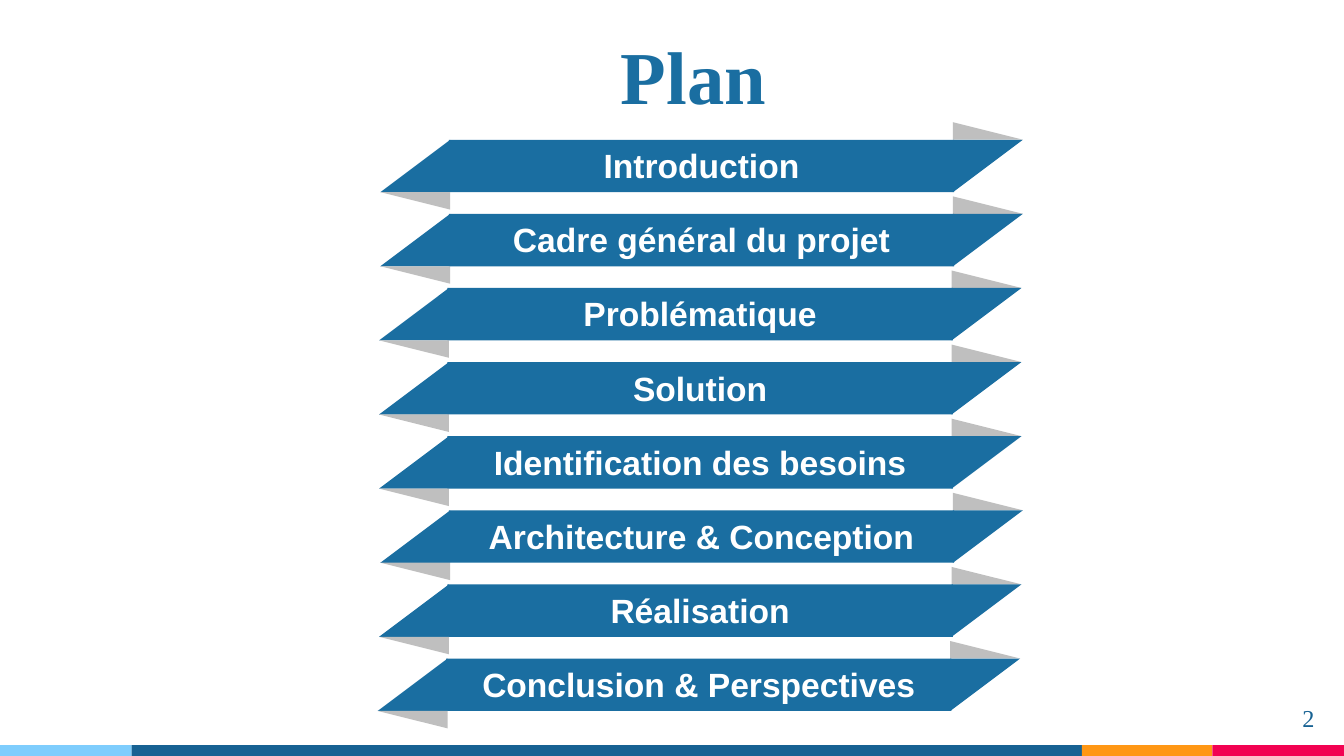
"""Build the plan slide: a title above eight ribbon banners and a striped footer."""
import pptx
import pptx.util
import pptx.dml.color
import pptx.enum.shapes
import pptx.enum.text

Inches = pptx.util.Inches
Pt = pptx.util.Pt

TITLE = "Plan"
PAGE_NUMBER = "2"
BANNERS = [
    ("Introduction", 2.83),
    ("Cadre général du projet", 2.83),
    ("Problématique", 2.82),
    ("Solution", 2.82),
    ("Identification des besoins", 2.82),
    ("Architecture & Conception", 2.83),
    ("Réalisation", 2.82),
    ("Conclusion & Perspectives", 2.81),
]
COLORS = {
    "banner": "1A6EA1",
    "fold": "BFBFBF",
    "text": "FFFFFF",
    "sky": "7ECDFD",
    "navy": "176293",
    "orange": "FF9714",
    "pink": "F20252",
}
STRIPES = [("sky", 0.98), ("navy", 7.07), ("orange", 0.97), ("pink", 0.98)]

SLIDE_WIDTH = 10
SLIDE_HEIGHT = SLIDE_WIDTH * 9 / 16
STRIPE_HEIGHT = 0.08
FIRST_TOP, LAST_TOP = 1.04, 4.9
ROW_PITCH = (LAST_TOP - FIRST_TOP) / (len(BANNERS) - 1)
WING_WIDTH, FOLD_HEIGHT = 0.52, 0.13
BODY_WIDTH, BODY_HEIGHT = 3.76, 0.39
OVERLAP = 0.01


def color(name):
    return pptx.dml.color.RGBColor.from_string(COLORS[name])


def paint(shape, name):
    shape.shadow.inherit = False
    shape.fill.solid()
    shape.fill.fore_color.rgb = color(name)
    shape.line.fill.background()


def add_rectangle(slide, left, top, width, height, name):
    shape = slide.shapes.add_shape(
        pptx.enum.shapes.MSO_SHAPE.RECTANGLE,
        Inches(left), Inches(top), Inches(width), Inches(height))
    paint(shape, name)
    return shape


def add_triangle(slide, points, name):
    start, *others = [(Inches(x), Inches(y)) for x, y in points]
    builder = slide.shapes.build_freeform(*start)
    builder.add_line_segments(others, close=True)
    paint(builder.convert_to_shape(), name)


def write(shape, text, font_name, size, name, align, margins, bold=False):
    frame = shape.text_frame
    frame.word_wrap = True
    frame.auto_size = pptx.enum.text.MSO_AUTO_SIZE.NONE
    frame.margin_left, frame.margin_top = map(Inches, margins)
    frame.margin_right = frame.margin_bottom = 0
    frame.vertical_anchor = pptx.enum.text.MSO_ANCHOR.TOP
    frame.text = text
    paragraph = frame.paragraphs[0]
    paragraph.alignment = align
    paragraph.font.name = font_name
    paragraph.font.size = Pt(size)
    paragraph.font.bold = bold
    paragraph.font.color.rgb = color(name)


def add_banner(slide, text, left, top):
    inner_left = left + WING_WIDTH
    inner_right = inner_left + BODY_WIDTH - 2 * OVERLAP
    right = inner_right + WING_WIDTH
    bottom = top + BODY_HEIGHT
    add_triangle(slide, [(right, top), (inner_right, top),
                         (inner_right, top - FOLD_HEIGHT)], "fold")
    body = add_rectangle(slide, inner_left - OVERLAP, top, BODY_WIDTH, BODY_HEIGHT, "banner")
    write(body, text, "Arial", 18, "text", pptx.enum.text.PP_ALIGN.CENTER, (0, 0.04), True)
    add_triangle(slide, [(inner_left, bottom), (left, bottom), (inner_left, top)], "banner")
    add_triangle(slide, [(inner_left, bottom + FOLD_HEIGHT), (left, bottom),
                         (inner_left, bottom)], "fold")
    add_triangle(slide, [(inner_right, bottom), (inner_right, top), (right, top)], "banner")


def main():
    presentation = pptx.Presentation()
    presentation.slide_width = Inches(SLIDE_WIDTH)
    presentation.slide_height = Inches(SLIDE_HEIGHT)
    slide = presentation.slides.add_slide(presentation.slide_layouts[5])

    stripe_left = 0
    for name, width in STRIPES:
        add_rectangle(slide, stripe_left, SLIDE_HEIGHT - STRIPE_HEIGHT,
                      width, STRIPE_HEIGHT, name)
        stripe_left += width

    left_align = pptx.enum.text.PP_ALIGN.LEFT
    title = slide.shapes.title
    title.left, title.top = Inches(0.14), Inches(0.1)
    title.width, title.height = Inches(8.15), Inches(0.88)
    write(title, TITLE, "Times New Roman", 40, "banner", left_align, (4.48, 0.12), True)

    number = slide.shapes.add_textbox(Inches(9.68), Inches(5.21), Inches(0.12), Inches(0.24))
    write(number, PAGE_NUMBER, "Times New Roman", 13, "navy", left_align, (0.01, 0.02))

    for row, (text, left) in enumerate(BANNERS):
        add_banner(slide, text, left, FIRST_TOP + row * ROW_PITCH)

    presentation.save("out.pptx")


if __name__ == "__main__":
    main()
